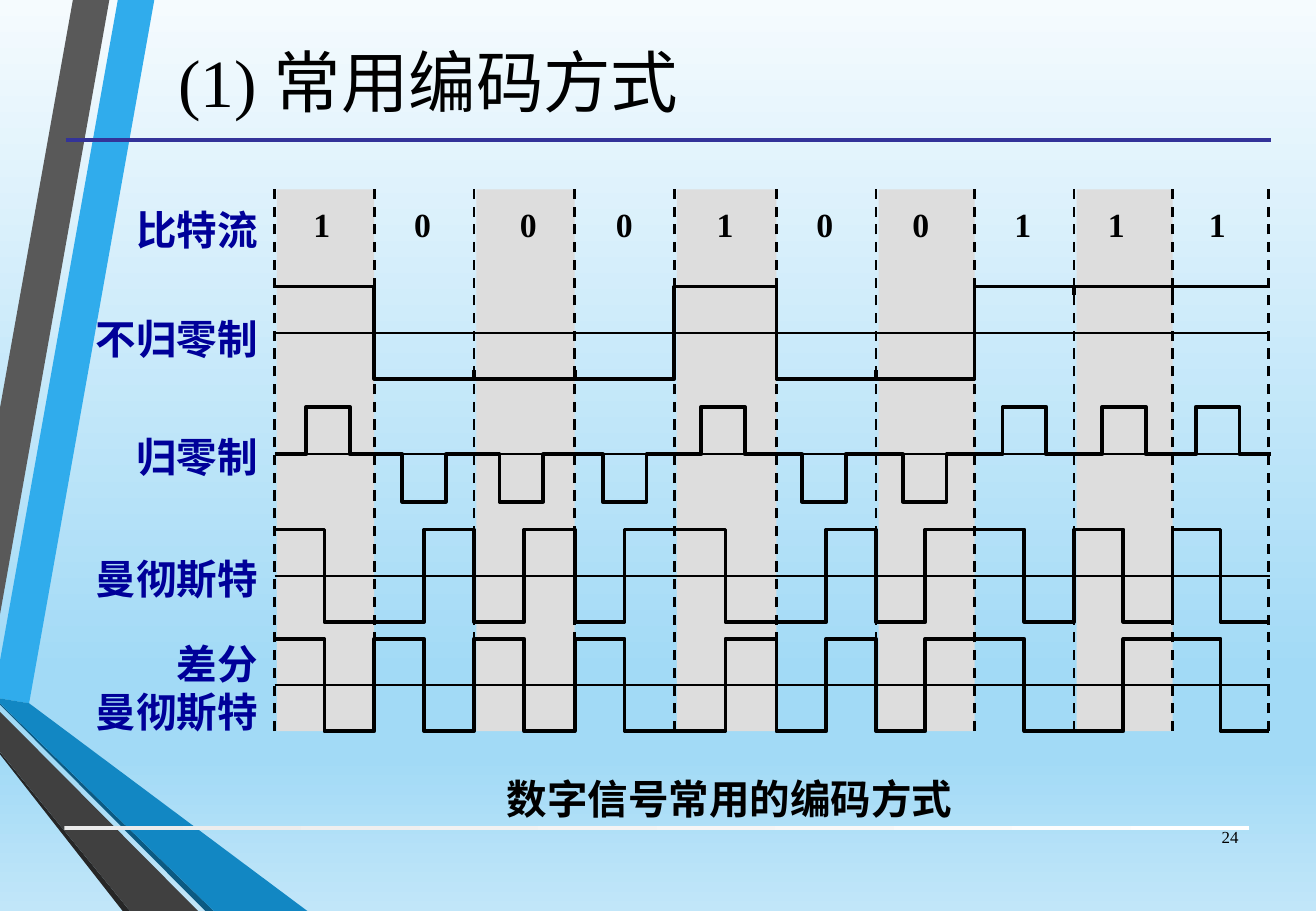
from itertools import pairwise

from lxml import etree
from pptx import Presentation
from pptx import util as u
from pptx.dml.color import RGBColor
from pptx.enum import dml, shapes, text
from pptx.oxml.ns import qn

FONT = "Times New Roman"
BLACK = RGBColor(0x00, 0x00, 0x00)
NAVY = RGBColor(0x00, 0x00, 0x99)
RULE_BLUE = RGBColor(0x33, 0x33, 0x99)
SHADE = RGBColor(0xDD, 0xDD, 0xDD)
SKY = RGBColor(0x30, 0xAC, 0xEC)
GREY = RGBColor(0x59, 0x59, 0x59)
EDGE_GREY = RGBColor(0x26, 0x26, 0x26)
EDGE_BLUE = RGBColor(0x0C, 0x5A, 0x82)
DEEP_BLUE = RGBColor(0x12, 0x87, 0xC3)
DARK_GREY = RGBColor(0x40, 0x40, 0x40)
BAR_LIGHT = RGBColor(0xEB, 0xEB, 0xEB)
WHITE = RGBColor(0xFF, 0xFF, 0xFF)
PALE = RGBColor(0xF5, 0xFB, 0xFE)
MIST = RGBColor(0xA2, 0xDA, 0xF6)
HAZE = RGBColor(0xC1, 0xE6, 0xF9)

RIBBONS = [
    (SKY, [(0, 5.44), (0, 5.75), (0.24, 5.79), (1.27, 0), (0.97, 0)]),
    (GREY, [(0.9, 0), (0.6, 0), (0, 3.36), (0, 5.06)]),
    (EDGE_GREY, [(0, 6.19), (0, 6.21), (1.01, 7.5), (1.07, 7.5)]),
    (EDGE_BLUE, [(0, 5.79), (0, 5.8), (1.69, 7.5), (1.76, 7.5)]),
    (DEEP_BLUE, [(0, 5.79), (1.76, 7.5), (2.53, 7.5), (0.24, 5.79), (0, 5.75)]),
    (DARK_GREY, [(0, 6.19), (1.07, 7.5), (1.63, 7.5), (0, 5.86)]),
]
BITS = [1, 0, 0, 0, 1, 0, 0, 1, 1, 1]
CELL_EDGES = [0, 0.82, 1.64, 2.47, 3.29, 4.13, 4.95, 5.76, 6.58, 7.39, 8.18]
DIGIT_LEFTS = [0.22, 1.05, 1.92, 2.71, 3.54, 4.36, 5.15, 5.99, 6.76, 7.59]
PULSE_LEFTS = [0, 0.79, 1.59, 2.44, 3.25, 4.08, 4.91, 5.73, 6.55, 7.32]
NRZ_AXIS, RZ_AXIS, MANCHESTER_AXIS, DIFFERENTIAL_AXIS = AXES = [1.21, 2.21, 3.21, 4.11]
AMPLITUDE = 0.38
LABELS = [
    (0.11, 0.5, ["比特流"]),
    (1.01, 0.5, ["不归零制"]),
    (1.98, 0.5, ["归零制"]),
    (2.98, 0.5, ["曼彻斯特"]),
    (3.68, 0.91, ["差分", "曼彻斯特"]),
]


def set_gradient(fill, element, stops, angle):
    """Fill with a linear gradient made of (percent, colour) stops."""
    fill.gradient()
    fill.gradient_angle = angle
    stop_list = element.find(".//" + qn("a:gsLst"))
    for old_stop in list(stop_list):
        stop_list.remove(old_stop)
    for percent, color in stops:
        stop = etree.SubElement(stop_list, qn("a:gs"), pos=str(percent * 1000))
        etree.SubElement(stop, qn("a:srgbClr"), val=str(color))


def add_text(slide, box, lines, size, color, align, bold=False, middle=False, wrap=True):
    """Place a text box with one paragraph per line."""
    frame = slide.shapes.add_textbox(*map(u.Inches, box)).text_frame
    frame.word_wrap = wrap
    frame.vertical_anchor = text.MSO_ANCHOR.MIDDLE if middle else text.MSO_ANCHOR.TOP
    for index, line in enumerate(lines):
        paragraph = frame.add_paragraph() if index else frame.paragraphs[0]
        paragraph.alignment = align
        run = paragraph.add_run()
        run.text = line
        run.font.name = FONT
        run.font.size = u.Pt(size)
        run.font.bold = bold
        run.font.color.rgb = color


def add_line(slide, start, end, color, width, dash=None):
    """Draw a straight line between two points."""
    line = slide.shapes.add_connector(
        shapes.MSO_CONNECTOR.STRAIGHT, *map(u.Inches, (*start, *end)))
    line.line.color.rgb = color
    line.line.width = u.Pt(width)
    if dash:
        line.line.dash_style = dash
    etree.SubElement(line.element.spPr, qn("a:effectLst"))


def add_outline(slide, points, close):
    """Build a freeform through the points."""
    corners = [(u.Inches(x), u.Inches(y)) for x, y in points]
    builder = slide.shapes.build_freeform(*corners[0])
    builder.add_line_segments(corners[1:], close=close)
    shape = builder.convert_to_shape()
    shape.shadow.inherit = False
    return shape


def add_trace(slide, points):
    """Draw an open signal trace."""
    trace = add_outline(slide, points, False)
    trace.fill.background()
    trace.line.color.rgb = BLACK
    trace.line.width = u.Pt(2.25)


def add_rectangle(slide, box):
    """Add a rectangle without outline or shadow."""
    shape = slide.shapes.add_shape(shapes.MSO_SHAPE.RECTANGLE, *map(u.Inches, box))
    shape.shadow.inherit = False
    shape.line.fill.background()
    return shape


def add_backdrop(slide, left, top):
    """Draw the background, ribbons and the two rules."""
    set_gradient(slide.background.fill, slide.element,
                 [(0, PALE), (74, MIST), (83, MIST), (100, HAZE)], 270)
    for color, points in RIBBONS:
        ribbon = add_outline(slide, [(left + x, top + y) for x, y in points], True)
        ribbon.fill.solid()
        ribbon.fill.fore_color.rgb = color
        ribbon.line.fill.background()
    bar = add_rectangle(slide, (left + 0.53, top + 6.8, 9.75, 0.03))
    set_gradient(bar.fill, bar.element, [(0, BAR_LIGHT), (100, WHITE)], 0)
    add_line(slide, (left + 0.54, top + 1.15), (left + 10.46, top + 1.15), RULE_BLUE, 2.25)


def manchester_levels():
    """Return half-cell levels: 1 falls and 0 rises at mid-cell."""
    return [level for bit in BITS for level in ((1, -1) if bit else (-1, 1))]


def differential_levels():
    """Return half-cell levels: a 0 also flips at the start of its cell."""
    levels = []
    previous = 1
    for bit in BITS:
        first = previous if bit else -previous
        levels += [first, -first]
        previous = -first
    return levels


def add_waveform(slide, left, axis, times, levels):
    """Draw a two-level signal around its axis."""
    points = []
    for (start, end), level in zip(pairwise(times), levels):
        y = axis - AMPLITUDE * level
        points += [(left + start, y), (left + end, y)]
    add_trace(slide, points)


def add_signals(slide, left, top):
    """Draw the four coded signals below the bit stream."""
    nrz_levels = [1 if bit else -1 for bit in BITS]
    add_waveform(slide, left, top + NRZ_AXIS, CELL_EDGES, nrz_levels)
    for edge, (before, after) in zip(CELL_EDGES[1:], pairwise(nrz_levels)):
        if before == after:
            x, y = left + edge, top + NRZ_AXIS - AMPLITUDE * after
            add_line(slide, (x, y), (x, y + 0.07 * after), BLACK, 2.25)
    for start, level in zip(PULSE_LEFTS, nrz_levels):
        x, base = left + start, top + RZ_AXIS
        peak = base - 0.39 * level
        add_trace(slide, [(x, base), (x + 0.26, base), (x + 0.26, peak),
                          (x + 0.62, peak), (x + 0.62, base), (x + 0.88, base)])
    halves = [0]
    for start, end in pairwise(CELL_EDGES):
        halves += [(start + end) / 2, end]
    add_waveform(slide, left, top + MANCHESTER_AXIS, halves, manchester_levels())
    add_waveform(slide, left, top + DIFFERENTIAL_AXIS, halves, differential_levels())


def add_diagram(slide, left, top, height):
    """Draw the labelled timing diagram, with its cells starting at left."""
    for offset, label_height, lines in LABELS:
        add_text(slide, (left - 1.63, top + offset, 1.59, label_height), lines,
                 24, NAVY, text.PP_ALIGN.RIGHT, bold=True)
    for start, end in list(pairwise(CELL_EDGES))[::2]:
        shade = add_rectangle(slide, (left + start + 0.02, top + 0.03,
                                      end - start - 0.02, height - 0.03))
        shade.fill.solid()
        shade.fill.fore_color.rgb = SHADE
    for offset, bit in zip(DIGIT_LEFTS, BITS):
        add_text(slide, (left + offset, top + 0.1, 0.34, 0.43), [str(bit)],
                 20, BLACK, text.PP_ALIGN.LEFT, bold=True, wrap=False)
    add_signals(slide, left, top)
    for edge in CELL_EDGES:
        add_line(slide, (left + edge, top + height), (left + edge, top),
                 BLACK, 1.5, dml.MSO_LINE.DASH)
    for axis in AXES:
        add_line(slide, (left, top + axis), (left + 8.19, top + axis), BLACK, 1)


def main():
    """Build and save the slide."""
    presentation = Presentation()
    presentation.slide_width = u.Inches(10.83)
    presentation.slide_height = u.Inches(7.5)
    slide = presentation.slides.add_slide(presentation.slide_layouts[6])
    add_backdrop(slide, 0, 0)
    add_text(slide, (0, 0, 7.05, 1.33), ["(1) 常用编码方式"], 40, BLACK,
             text.PP_ALIGN.CENTER, middle=True)
    add_diagram(slide, 2.26, 1.53, 4.49)
    add_text(slide, (3.28, 6.32, 5.45, 0.5), ["数字信号常用的编码方式"], 24, BLACK,
             text.PP_ALIGN.CENTER, bold=True)
    add_text(slide, (9.8, 6.69, 0.49, 0.4), ["24"], 10, BLACK,
             text.PP_ALIGN.RIGHT, middle=True)
    presentation.save("out.pptx")


if __name__ == "__main__":
    main()
